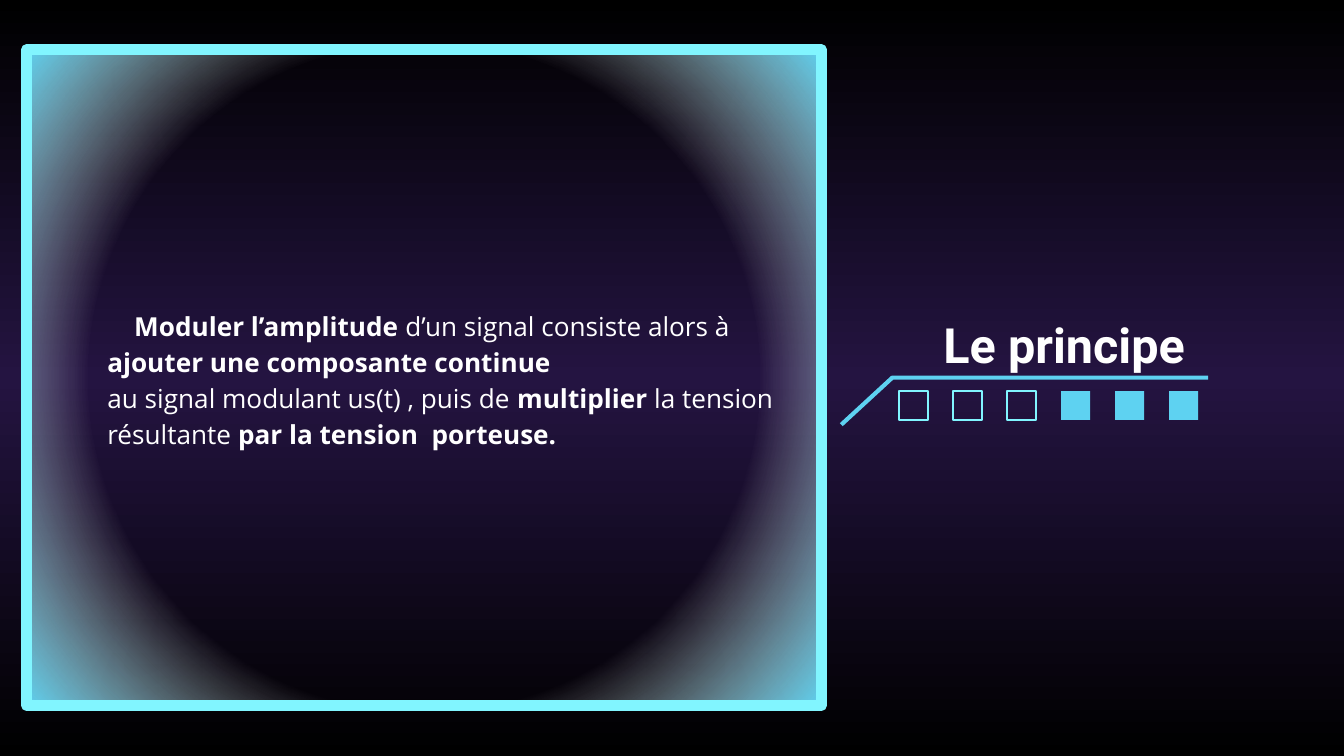
from dataclasses import dataclass

from lxml import etree
from pptx import Presentation
from pptx.dml.color import RGBColor
from pptx.enum.shapes import MSO_SHAPE
from pptx.enum.text import MSO_ANCHOR, PP_ALIGN
from pptx.oxml.ns import qn
from pptx.util import Emu, Inches, Pt

RECTANGLE = MSO_SHAPE.RECTANGLE
MIDDLE = MSO_ANCHOR.MIDDLE
CENTER = PP_ALIGN.CENTER

CELL = Inches(0.1)  # the slide is 100 columns by 56.2 rows
BLACK, PURPLE, WHITE = "000000", "241441", "FFFFFF"
BLUE, CYAN = "5ED2F1", "81F5FF"


@dataclass(frozen=True)
class Area:
    column: float
    row: float
    columns: float
    rows: float

    def lengths(self) -> tuple:
        return tuple(map(cells, (self.column, self.row, self.columns, self.rows)))


@dataclass(frozen=True)
class Stop:
    percent: int
    color: str
    opacity: int = 100


@dataclass(frozen=True)
class Sentence:
    first_indent: float
    runs: tuple  # (text, bold) pairs


TITLE = Area(61.9, 22, 34.6, 7.2)
FRAME = Area(2, 3.7, 59.1, 48.8)
FIRST_SQUARE = Area(66.9, 29.1, 2.15, 2.15)
SQUARE_PITCH = 4.02
SQUARE_FILLS = (None, None, None, BLUE, BLUE, BLUE)
UNDERLINE = ((62.6, 31.6), (66.4, 28.1), (89.9, 28.1))

BACKGROUND_STOPS = (Stop(0, BLACK), Stop(50, PURPLE), Stop(100, BLACK))
FRAME_STOPS = (Stop(0, WHITE, 0), Stop(65, WHITE, 0), Stop(100, BLUE))

SENTENCES = (
    Sentence(2, (
        ("Moduler l’amplitude ", True),
        ("d’un signal consiste alors à ", False),
        ("ajouter une composante continue", True),
    )),
    Sentence(0, (
        ("au signal modulant us(t) , puis de ", False),
        ("multiplier ", True),
        ("la tension résultante ", False),
        ("par la tension  porteuse.", True),
    )),
)


def cells(count: float) -> Emu:
    return Emu(round(count * CELL))


def rgb(color: str) -> RGBColor:
    return RGBColor.from_string(color)


def set_gradient(gradient, stops: tuple, circular: bool = False) -> None:
    """Refill a gradFill element, running downwards or out from the centre."""
    for child in list(gradient):
        gradient.remove(child)
    stop_list = etree.SubElement(gradient, qn("a:gsLst"))
    for stop in stops:
        entry = etree.SubElement(stop_list, qn("a:gs"), pos=str(stop.percent * 1000))
        color = etree.SubElement(entry, qn("a:srgbClr"), val=stop.color)
        if stop.opacity < 100:
            etree.SubElement(color, qn("a:alpha"), val=str(stop.opacity * 1000))
    if circular:
        shade = etree.SubElement(gradient, qn("a:path"), path="circle")
        etree.SubElement(shade, qn("a:fillToRect"), l="50000", t="50000", r="50000", b="50000")
    else:
        etree.SubElement(gradient, qn("a:lin"), ang="5400000", scaled="0")


def prepare_text(shape):
    text_frame = shape.text_frame
    text_frame.word_wrap = True
    text_frame.vertical_anchor = MIDDLE
    text_frame.margin_left = text_frame.margin_right = CELL
    text_frame.margin_top = text_frame.margin_bottom = CELL
    return text_frame


def set_font(paragraph, name: str, size: float) -> None:
    paragraph.font.name = name
    paragraph.font.size = Pt(size)
    paragraph.font.color.rgb = rgb(WHITE)


def draw_background(slide) -> None:
    slide.background.fill.gradient()
    set_gradient(slide._element.xpath(".//p:bgPr/a:gradFill")[0], BACKGROUND_STOPS)


def draw_title(slide) -> None:
    title = slide.shapes.add_textbox(*TITLE.lengths())
    paragraph = prepare_text(title).paragraphs[0]
    paragraph.text = "Le principe"
    paragraph.alignment = CENTER
    set_font(paragraph, "Roboto", 26)
    paragraph.font.bold = True


def draw_frame(slide) -> None:
    frame = slide.shapes.add_shape(RECTANGLE, *FRAME.lengths())
    frame.shadow.inherit = False
    frame.fill.gradient()
    set_gradient(frame._element.xpath("./p:spPr/a:gradFill")[0], FRAME_STOPS, circular=True)
    frame.line.color.rgb = rgb(CYAN)
    frame.line.width = Pt(6)
    text_frame = prepare_text(frame)
    for index, sentence in enumerate(SENTENCES):
        paragraph = text_frame.add_paragraph() if index else text_frame.paragraphs[0]
        paragraph.alignment = PP_ALIGN.LEFT
        paragraph.line_spacing = 1.15
        properties = paragraph._p.get_or_add_pPr()
        properties.set("marL", str(cells(5)))
        properties.set("indent", str(cells(sentence.first_indent)))
        set_font(paragraph, "Open Sans", 14)
        for text, bold in sentence.runs:
            run = paragraph.add_run()
            run.text = text
            run.font.bold = bold


def draw_underline(slide) -> None:
    start, *others = [(cells(column), cells(row)) for column, row in UNDERLINE]
    builder = slide.shapes.build_freeform(*start)
    builder.add_line_segments(others, close=False)
    underline = builder.convert_to_shape()
    underline.shadow.inherit = False
    underline.fill.background()
    underline.line.color.rgb = rgb(BLUE)
    underline.line.width = Pt(2.25)


def draw_squares(slide) -> None:
    left, top, width, height = FIRST_SQUARE.lengths()
    for index, color in enumerate(SQUARE_FILLS):
        square = slide.shapes.add_shape(
            RECTANGLE, left + cells(index * SQUARE_PITCH), top, width, height)
        square.shadow.inherit = False
        if color:
            square.fill.solid()
            square.fill.fore_color.rgb = rgb(color)
            square.line.fill.background()
        else:
            square.fill.background()
            square.line.color.rgb = rgb(CYAN)
            square.line.width = Pt(0.75)


def main() -> None:
    presentation = Presentation()
    presentation.slide_width = cells(100)
    presentation.slide_height = cells(56.25)
    slide = presentation.slides.add_slide(presentation.slide_layouts[6])
    draw_background(slide)
    draw_title(slide)
    draw_frame(slide)
    draw_underline(slide)
    draw_squares(slide)
    presentation.save("out.pptx")


if __name__ == "__main__":
    main()
